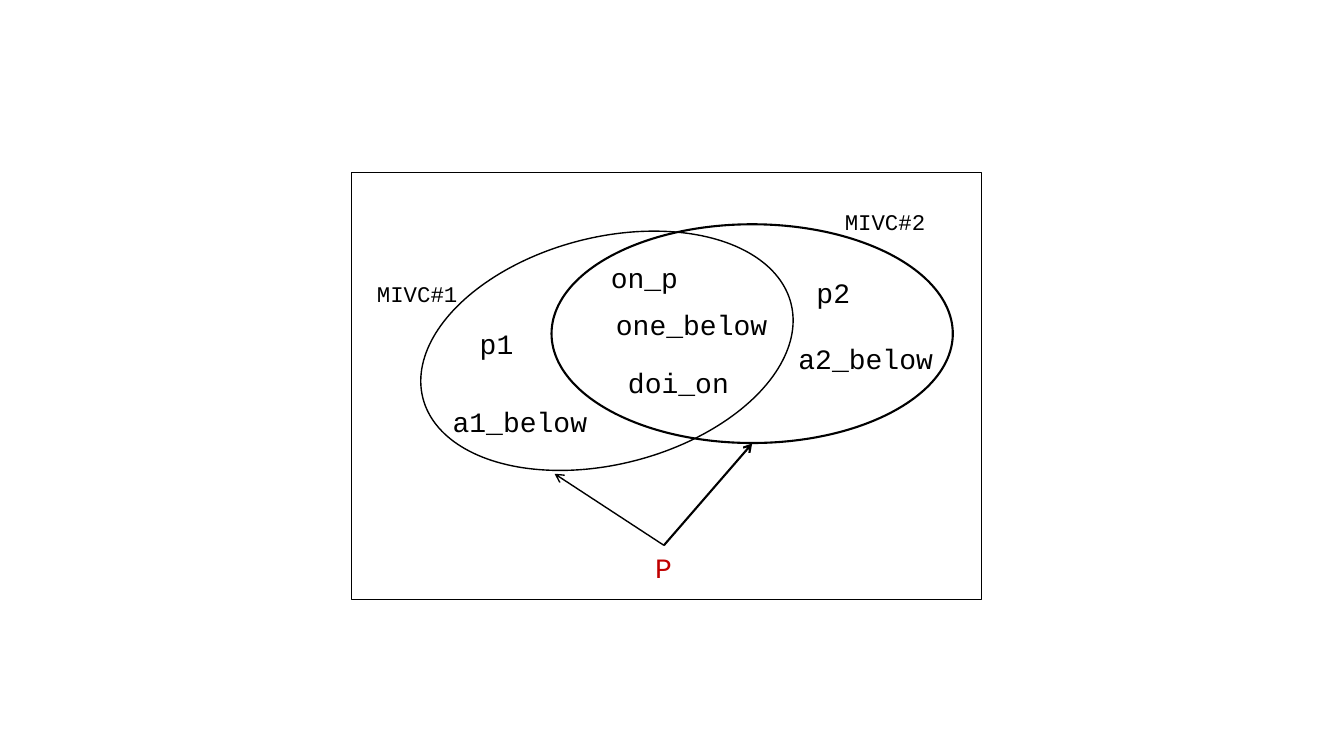
from lxml.etree import SubElement
from pptx import Presentation
from pptx.dml.color import RGBColor
from pptx.enum.shapes import MSO_CONNECTOR, MSO_SHAPE
from pptx.enum.text import MSO_AUTO_SIZE
from pptx.oxml.ns import qn
from pptx.util import Inches, Pt

BLACK = RGBColor(0x00, 0x00, 0x00)
RED = RGBColor(0xC0, 0x00, 0x00)
FONT = "Courier New"
HEIGHTS = {20: 0.44, 16: 0.37}  # label height by font size

# text, left, top, width
ELEMENTS = [
    ("one_below", 6.01, 3.0, 1.72),
    ("p1", 4.66, 3.19, 0.54),
    ("a2_below", 7.82, 3.34, 1.55),
    ("a1_below", 4.39, 3.96, 1.55),
    ("on_p", 5.96, 2.54, 1.27),
    ("p2", 8.0, 2.68, 0.54),
    ("doi_on", 6.13, 3.58, 1.21),
]
SET_NAMES = [("MIVC#1", 3.64, 2.73, 1.01), ("MIVC#2", 8.28, 2.02, 1.01)]
PROPERTY = ("P", 6.4, 5.41, 0.37)

# preset, centre x, centre y, width, height, rotation, line width
OUTLINES = [
    (MSO_SHAPE.OVAL, 7.46, 3.31, 3.98, 2.17, 0, 1.5),
    (MSO_SHAPE.OVAL, 6.02, 3.48, 3.77, 2.25, -14.5, 1),
    (MSO_SHAPE.RECTANGLE, 6.61, 3.83, 6.25, 4.24, 0, 1),
]
# tip x, tip y, line width
ARROWS = [(5.5, 4.7, 1), (7.46, 4.4, 1.5)]


def add_label(s, text, left, top, width, size=20, color=BLACK):
    box = s.shapes.add_textbox(Inches(left), Inches(top), Inches(width), Inches(HEIGHTS[size]))
    tf = box.text_frame
    tf.word_wrap = False
    tf.auto_size = MSO_AUTO_SIZE.SHAPE_TO_FIT_TEXT
    r = tf.paragraphs[0].add_run()
    r.text = text
    r.font.name, r.font.size, r.font.color.rgb = FONT, Pt(size), color
    return box


def add_outline(s, preset, cx, cy, width, height, rotation, weight):
    sp = s.shapes.add_shape(preset, Inches(cx - width / 2), Inches(cy - height / 2),
                            Inches(width), Inches(height))
    sp.rotation = rotation
    sp.shadow.inherit = False
    sp.fill.background()
    sp.line.color.rgb, sp.line.width = BLACK, Pt(weight)


def add_arrow(s, start, x, y, weight):
    """Draw an arrow from the top of the start box to the point x, y."""
    line = s.shapes.add_connector(MSO_CONNECTOR.STRAIGHT, 0, 0, Inches(x), Inches(y))
    line.begin_connect(start, 0)
    line.line.color.rgb, line.line.width = BLACK, Pt(weight)
    SubElement(line.line._get_or_add_ln(), qn("a:tailEnd"), type="arrow")
    SubElement(line._element.spPr, qn("a:effectLst"))


def main():
    prs = Presentation()
    prs.slide_width, prs.slide_height = Inches(13.33), Inches(7.5)
    s = prs.slides.add_slide(prs.slide_layouts[6])
    start = add_label(s, *PROPERTY, color=RED)
    for element in ELEMENTS:
        add_label(s, *element)
    for outline in OUTLINES:
        add_outline(s, *outline)
    for arrow in ARROWS:
        add_arrow(s, start, *arrow)
    for name in SET_NAMES:
        add_label(s, *name, size=16)
    prs.save("out.pptx")


if __name__ == "__main__":
    main()
